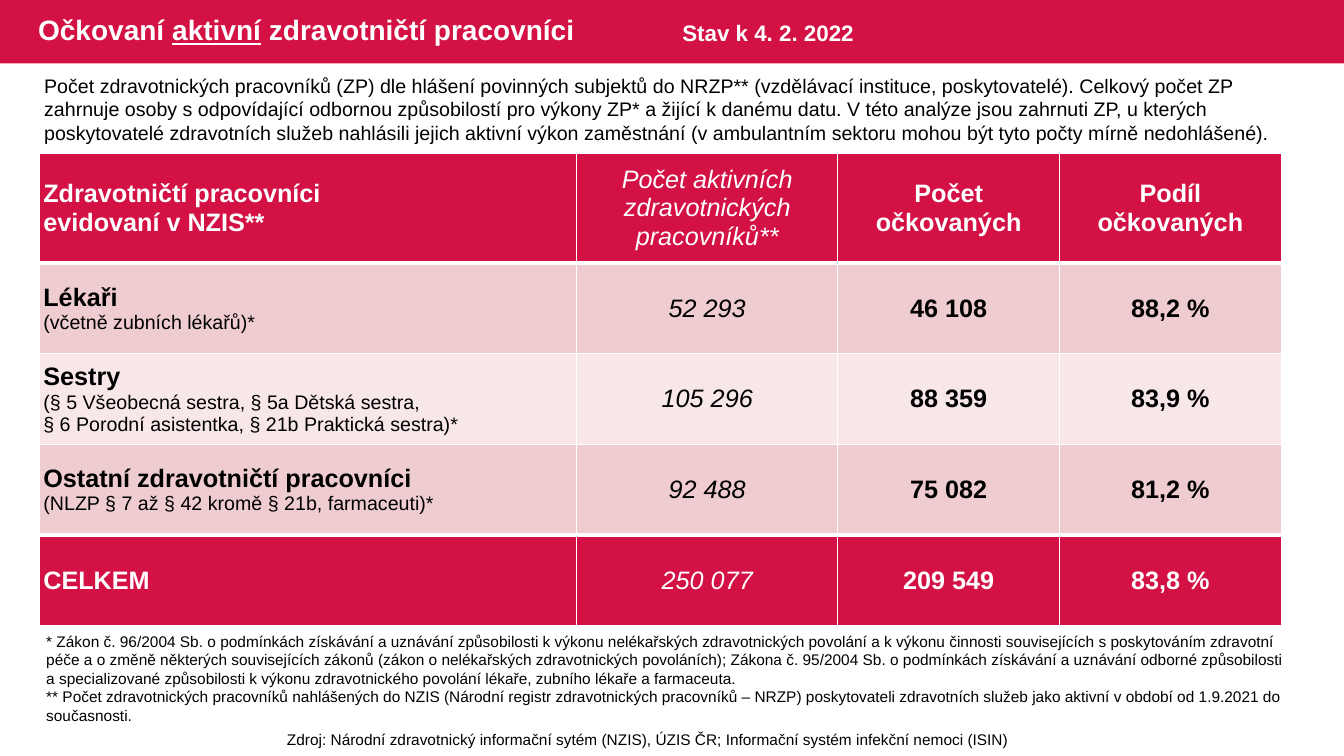
from pptx import Presentation
from pptx.dml.color import RGBColor
from pptx.enum.shapes import MSO_SHAPE as Shape
from pptx.enum.text import MSO_ANCHOR as Anchor, PP_ALIGN as Align
from pptx.oxml import parse_xml
from pptx.oxml.ns import nsdecls
from pptx.util import Inches, Pt

RED = RGBColor(0xD3, 0x11, 0x45)
PINK = RGBColor(0xEF, 0xCC, 0xCF)
PALE = RGBColor(0xF7, 0xE7, 0xE9)
WHITE = RGBColor(0xFF, 0xFF, 0xFF)
BLACK = RGBColor(0, 0, 0)


class Deck:
    """Style and current slide; lengths are percent of the slide's size."""
    font = "Arial"

    def __init__(self):
        self.prs = Presentation()
        self.prs.slide_width, self.prs.slide_height = Inches(13.33), Inches(7.5)
        self.s = self.prs.slides.add_slide(self.prs.slide_layouts[6])

    def x(self, share):
        return round(self.prs.slide_width * share / 100)

    def y(self, share):
        return round(self.prs.slide_height * share / 100)

    def box(self, x, y, w, h):
        return self.x(x), self.y(y), self.x(w), self.y(h)

    def style(self, p, size, color, bold=False, italic=False, align=Align.LEFT):
        p.alignment = align
        f = p.font
        f.name, f.size, f.bold, f.italic = self.font, Pt(size), bold, italic
        f.color.rgb = color

    def bar(self, *place, color):
        sp = self.s.shapes.add_shape(Shape.RECTANGLE, *self.box(*place))
        sp.shadow.inherit = False
        sp.fill.solid()
        sp.fill.fore_color.rgb = color
        sp.line.fill.background()

    def text(self, *place, lines, size, color=BLACK, anchor=Anchor.TOP, **look):
        tf = self.s.shapes.add_textbox(*self.box(*place)).text_frame
        tf.word_wrap = True
        tf.vertical_anchor = anchor
        tf.text = "\n".join(lines)
        for p in tf.paragraphs:
            self.style(p, size, color, **look)
        return tf

    def table(self, x, y, cols, rows):
        frame = self.s.shapes.add_table(
            len(rows), len(cols), *self.box(x, y, sum(cols), sum(rows)))
        for col, share in zip(frame.table.columns, cols):
            col.width = self.x(share)
        for row, share in zip(frame.table.rows, rows):
            row.height = self.y(share)
        return frame.table

    def cell(self, c, lines, fill, color, margin, top=1, bottom=1, **look):
        c.fill.solid()
        c.fill.fore_color.rgb = fill
        c.vertical_anchor = Anchor.MIDDLE
        c.margin_left = c.margin_right = Inches(margin)
        c.margin_top = c.margin_bottom = 0
        c.text_frame.text = "\n".join(lines)
        for p in c.text_frame.paragraphs:
            self.style(p, 18, color, **look)
        # Borders come before the fill in the cell properties
        sides = (("L", 1), ("R", 1), ("T", top), ("B", bottom))
        for i, (side, width) in enumerate(sides):
            c._tc.get_or_add_tcPr().insert(i, parse_xml(
                f'<a:ln{side} {nsdecls("a")} w="{Pt(width)}"><a:solidFill>'
                f'<a:srgbClr val="{WHITE}"/></a:solidFill></a:ln{side}>'))


ROWS = [
    (["Zdravotničtí pracovníci", "evidovaní v NZIS**"],
     "Počet aktivních zdravotnických pracovníků**",
     "Počet očkovaných", "Podíl očkovaných"),
    (["Lékaři", "(včetně zubních lékařů)*"], "52 293", "46 108", "88,2 %"),
    (["Sestry", "(§ 5 Všeobecná sestra, § 5a Dětská sestra,",
      "§ 6 Porodní asistentka, § 21b Praktická sestra)*"],
     "105 296", "88 359", "83,9 %"),
    (["Ostatní zdravotničtí pracovníci",
      "(NLZP § 7 až § 42 kromě § 21b, farmaceuti)*"],
     "92 488", "75 082", "81,2 %"),
    (["CELKEM"], "250 077", "209 549", "83,8 %"),
]
FILLS = [RED, PINK, PALE, PINK, RED]


def main():
    d = Deck()

    # Title bar
    d.bar(0, 0, 100, 8.4, color=RED)
    tf = d.text(2.1, 0, 61, 8.4, lines=[""], size=20, color=WHITE,
                bold=True, anchor=Anchor.MIDDLE)
    p = tf.paragraphs[0]
    p.line_spacing = 0.9
    for part in ("Očkovaní ", "aktivní", " zdravotničtí pracovníci"):
        r = p.add_run()
        r.text = part
        r.font.underline = part == "aktivní"
    d.text(50.03, 1.87, 16.5, 4.93, lines=["Stav k 4. 2. 2022"],
           size=16, color=WHITE, bold=True)

    # Introduction
    d.text(2.55, 9.07, 94.8, 10.8, size=14, lines=[
        "Počet zdravotnických pracovníků (ZP) dle hlášení povinných subjektů do NRZP** "
        "(vzdělávací instituce, poskytovatelé). Celkový počet ZP zahrnuje osoby s "
        "odpovídající odbornou způsobilostí pro výkony ZP* a žijící k danému datu. "
        "V této analýze jsou zahrnuti ZP, u kterých poskytovatelé zdravotních služeb "
        "nahlásili jejich aktivní výkon zaměstnání (v ambulantním sektoru mohou být "
        "tyto počty mírně nedohlášené)."])

    # Vaccination table
    table = d.table(2.93, 20.27, [39.98, 19.43, 16.5, 16.5], [14.53] + [12] * 4)
    last = len(ROWS) - 1
    for i, ((group, *values), fill) in enumerate(zip(ROWS, FILLS)):
        look = dict(fill=fill, color=WHITE if fill == RED else BLACK,
                    top=3 if i in (1, last) else 1,
                    bottom=3 if i in (0, last - 1) else 1)
        c = table.cell(i, 0)
        d.cell(c, group, margin=0.04, bold=True, **look)
        if 0 < i < last:
            for p in c.text_frame.paragraphs[1:]:
                d.style(p, 14, BLACK)
        for j, value in enumerate(values, 1):
            d.cell(table.cell(i, j), [value], margin=0.01 if i else 0.04,
                   bold=j > 1, italic=j == 1, align=Align.CENTER, **look)

    # Footnotes and source
    d.text(2.7, 82.93, 94, 13.73, size=11, lines=[
        "* Zákon č. 96/2004 Sb. o podmínkách získávání a uznávání způsobilosti k výkonu "
        "nelékařských zdravotnických povolání a k výkonu činnosti souvisejících s "
        "poskytováním zdravotní péče a o změně některých souvisejících zákonů (zákon o "
        "nelékařských zdravotnických povoláních); Zákona č. 95/2004 Sb. o podmínkách "
        "získávání a uznávání odborné způsobilosti a specializované způsobilosti k výkonu "
        "zdravotnického povolání lékaře, zubního lékaře a farmaceuta.",
        "** Počet zdravotnických pracovníků nahlášených do NZIS (Národní registr "
        "zdravotnických pracovníků – NRZP) poskytovateli zdravotních služeb jako aktivní "
        "v období od 1.9.2021 do současnosti."])
    d.text(14.25, 95.87, 67.95, 3.87, size=11, align=Align.CENTER, lines=[
        "Zdroj: Národní zdravotnický informační sytém (NZIS), ÚZIS ČR; "
        "Informační systém infekční nemoci (ISIN)"])

    d.prs.save("out.pptx")


if __name__ == "__main__":
    main()
